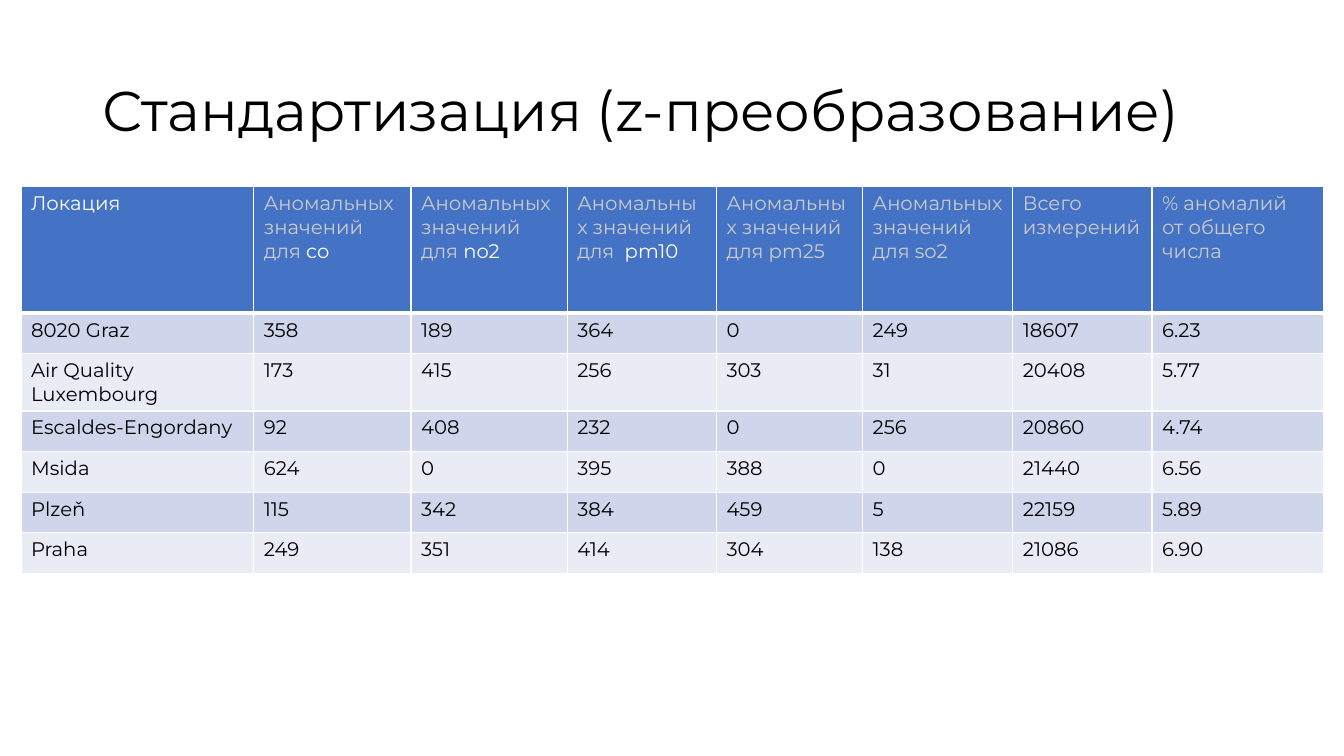
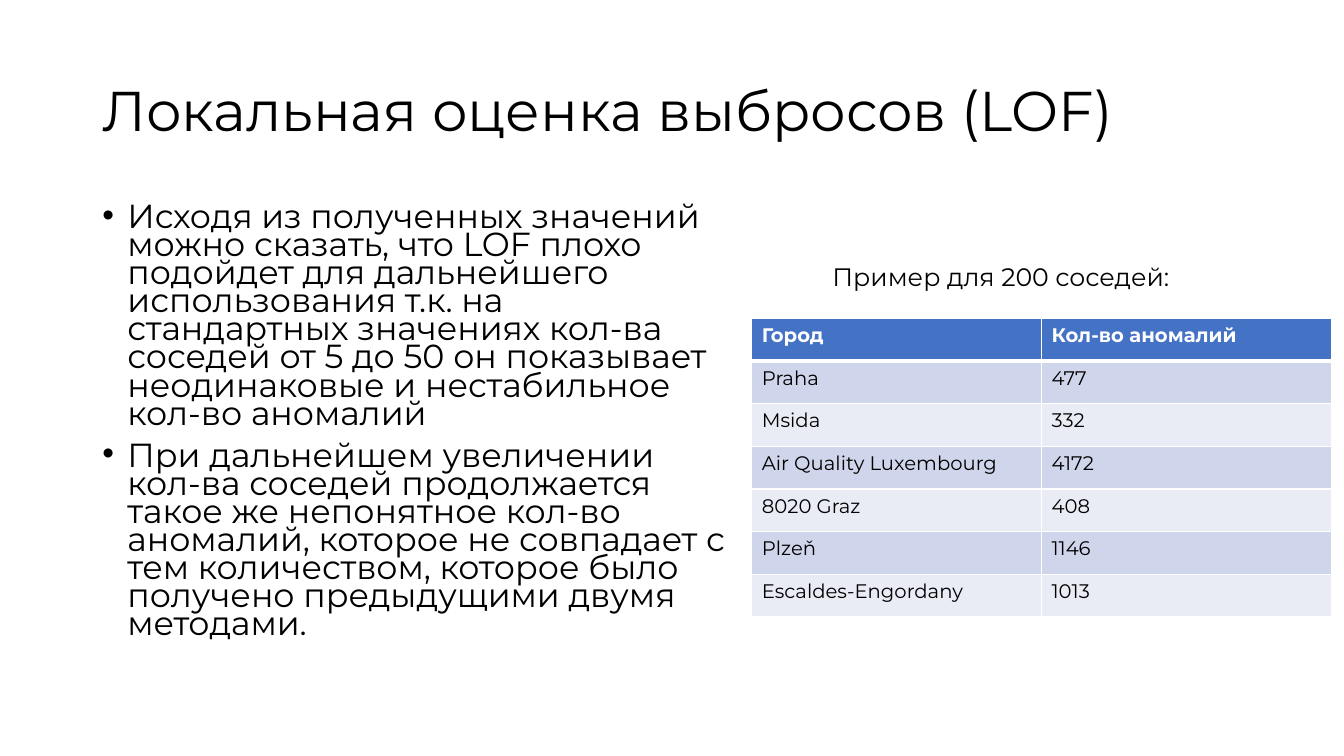
import pptx
import pptx.dml.color
import pptx.enum.text
import pptx.oxml
import pptx.oxml.ns
import pptx.util

Pt = pptx.util.Pt
Hex = pptx.dml.color.RGBColor.from_string
Anchor = pptx.enum.text.MSO_ANCHOR
Fit = pptx.enum.text.MSO_AUTO_SIZE


class Theme:
    font = "Montserrat"
    ink, white, pale = "000000", "FFFFFF", "CCCCCC"
    head, bands = "4472C4", ("CFD5EA", "E9EBF5")
    title, body, label, cell = 40, 23.8, 18, 14
    thin, thick = 1, 3


class Deck:
    def __init__(self):
        self.prs = pptx.Presentation()
        self.prs.slide_width, self.prs.slide_height = Pt(960), Pt(540)
        self.page = None

    def start(self, title):
        """Add a blank slide with its title."""
        self.page = self.prs.slides.add_slide(self.prs.slide_layouts[6])
        frame = self.box(66, 28.8, 828, 104.4)
        frame.vertical_anchor = Anchor.MIDDLE
        para = frame.paragraphs[0]
        para.line_spacing = 0.9
        self.run(para, title, Theme.title)

    def box(self, x, y, w, h):
        shape = self.page.shapes.add_textbox(Pt(x), Pt(y), Pt(w), Pt(h))
        shape.text_frame.word_wrap = True
        return shape.text_frame

    def run(self, para, text, size, color=Theme.ink, bold=False):
        run = para.add_run()
        run.text = text
        font = run.font
        font.name, font.size, font.bold = Theme.font, Pt(size), bold
        font.color.rgb = Hex(color)

    def indent(self, para, left, first=0):
        props = para._p.get_or_add_pPr()
        props.set("marL", str(Pt(left)))
        props.set("indent", str(Pt(first)))
        return props

    def list(self, x, y, w, h, items):
        frame = self.box(x, y, w, h)
        for i, item in enumerate(items):
            para = frame.add_paragraph() if i else frame.paragraphs[0]
            para.line_spacing, para.space_before = 0.7, Pt(10)
            props = self.indent(para, 18, -18)
            for tag, key, value in (("buFont", "typeface", "Arial"),
                                    ("buChar", "char", "•")):
                mark = props.makeelement(pptx.oxml.ns.qn("a:" + tag), {key: value})
                props.append(mark)
            self.run(para, item, Theme.body)

    def label(self, x, y, w, h, text):
        frame = self.box(x, y, w, h)
        frame.auto_size = Fit.SHAPE_TO_FIT_TEXT
        para = frame.paragraphs[0]
        self.indent(para, 36)
        self.run(para, text, Theme.label)

    def edges(self, cell, top, bottom):
        """Draw white borders, which must come before the fill in the XML."""
        props = cell._tc.get_or_add_tcPr()
        sides = (("L", Theme.thin), ("R", Theme.thin), ("T", top), ("B", bottom))
        for i, (side, width) in enumerate(sides):
            line = pptx.oxml.parse_xml(
                f'<a:ln{side} {pptx.oxml.ns.nsdecls("a")} w="{Pt(width)}">'
                f'<a:solidFill><a:srgbClr val="{Theme.white}"/></a:solidFill>'
                f'</a:ln{side}>')
            props.insert(i, line)

    def table(self, x, y, cols, rows, head, data, bold=False):
        """Head cells are lists of (text, colour) runs; data cells are strings."""
        grid = self.page.shapes.add_table(
            len(rows), len(cols), Pt(x), Pt(y), Pt(sum(cols)), Pt(sum(rows))).table
        for col, w in zip(grid.columns, cols):
            col.width = Pt(w)
        for row, h in zip(grid.rows, rows):
            row.height = Pt(h)
        body = [[[(text, Theme.ink)] for text in line] for line in data]
        for r, line in enumerate([head] + body):
            for c, runs in enumerate(line):
                cell = grid.cell(r, c)
                cell.fill.solid()
                cell.fill.fore_color.rgb = Hex(Theme.bands[(r - 1) % 2] if r else Theme.head)
                self.edges(cell, Theme.thick if r == 1 else Theme.thin,
                           Theme.thin if r else Theme.thick)
                for text, color in runs:
                    self.run(cell.text_frame.paragraphs[0], text, Theme.cell,
                             color, bold and r == 0)


def zscore(deck):
    deck.start("Стандартизация (z-преобразование)")
    lead = "Аномальных значений для "
    white, pale = Theme.white, Theme.pale
    head = [
        [("Локация", white)],
        [(lead, pale), ("co", white)],
        [(lead, pale), ("no2", white)],
        [(lead + " ", pale), ("pm10", white)],
        [(lead + "pm25", pale)],
        [(lead + "so2", pale)],
        [("Всего измерений", pale)],
        [("% аномалий от общего числа", pale)],
    ]
    data = [
        ("8020 Graz", "358", "189", "364", "0", "249", "18607", "6.23"),
        ("Air Quality Luxembourg", "173", "415", "256", "303", "31", "20408", "5.77"),
        ("Escaldes-Engordany", "92", "408", "232", "0", "256", "20860", "4.74"),
        ("Msida", "624", "0", "395", "388", "0", "21440", "6.56"),
        ("Plzeň", "115", "342", "384", "459", "5", "22159", "5.89"),
        ("Praha", "249", "351", "414", "304", "138", "21086", "6.90"),
    ]
    cols = [166.3, 112.3, 111.6, 106.6, 104.4, 107.3, 99.4, 122.4]
    deck.table(15, 133.2, cols, [90.5, 29, 40.5] + [29] * 4, head, data)


def lof(deck):
    deck.start("Локальная оценка выбросов (LOF)")
    deck.list(66, 144, 463, 342.7, [
        "Исходя из полученных значений можно сказать, что LOF плохо подойдет для "
        "дальнейшего использования т.к. на стандартных значениях кол-ва соседей "
        "от 5 до 50 он показывает неодинаковые и нестабильное кол-во аномалий",
        "При дальнейшем увеличении кол-ва соседей продолжается такое же непонятное "
        "кол-во аномалий, которое не совпадает с тем количеством, которое было "
        "получено предыдущими двумя методами.",
    ])
    head = [[(text, Theme.white)] for text in ("Город", "Кол-во аномалий")]
    data = [
        ("Praha", "477"),
        ("Msida", "332"),
        ("Air Quality Luxembourg", "4172"),
        ("8020 Graz", "408"),
        ("Plzeň", "1146"),
        ("Escaldes-Engordany", "1013"),
    ]
    deck.table(537, 227.5, [207] * 2, [30.45] * 7, head, data, bold=True)
    deck.label(551.5, 183, 480, 29, "Пример для 200 соседей:")


def main():
    deck = Deck()
    zscore(deck)
    lof(deck)
    deck.prs.save("out.pptx")


if __name__ == "__main__":
    main()
